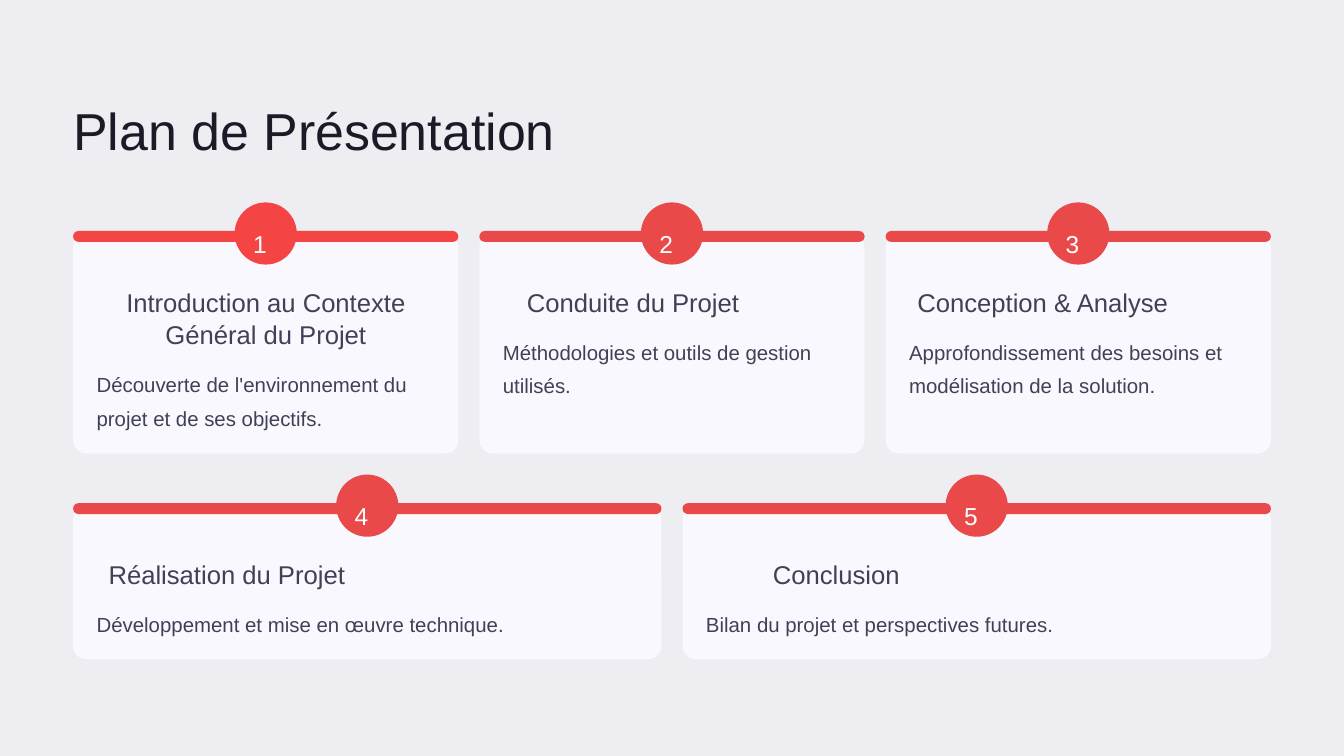
import pptx
import pptx.util
import pptx.dml.color
import pptx.enum.shapes
import pptx.enum.text
import pptx.oxml.ns
import lxml.etree

Inches = pptx.util.Inches
Pt = pptx.util.Pt
ALIGN = pptx.enum.text.PP_ALIGN
COLORS = {
    "background": "EDEDF2",
    "card": "F9F9FF",
    "first": "F44444",
    "accent": "E94949",
    "title": "1B1B27",
    "text": "404155",
    "number": "FFFFFF",
}


def write_text(box, text, size, color, spacing, wrap=False, align=ALIGN.LEFT):
    frame = box.text_frame
    frame.margin_left = frame.margin_top = frame.margin_right = frame.margin_bottom = 0
    frame.auto_size = pptx.enum.text.MSO_AUTO_SIZE.NONE
    frame.vertical_anchor = pptx.enum.text.MSO_ANCHOR.TOP
    frame.word_wrap = wrap
    para = frame.paragraphs[0]
    para.alignment = align
    para.line_spacing = Pt(spacing)
    span = para.add_run()
    span.text = text
    span.font.size = Pt(size)
    span.font.name = "Arial"
    span.font.color.rgb = pptx.dml.color.RGBColor.from_string(COLORS[color])


def add_rounded(left, top, width, height, radius, color):
    shape = page.shapes.add_shape(
        pptx.enum.shapes.MSO_SHAPE.ROUNDED_RECTANGLE,
        Inches(left), Inches(top), Inches(width), Inches(height))
    shape.adjustments[0] = radius / min(width, height)
    shape.shadow.inherit = False
    shape.fill.solid()
    shape.fill.fore_color.rgb = pptx.dml.color.RGBColor.from_string(COLORS[color])
    shape.line.fill.background()
    return shape


deck = pptx.Presentation()
deck.slide_width = Inches(16)
deck.slide_height = Inches(9)
page = deck.slides.add_slide(deck.slide_layouts[5])
page.background.fill.solid()
page.background.fill.fore_color.rgb = pptx.dml.color.RGBColor.from_string(COLORS["background"])

title = page.shapes.title
title.left, title.top, title.width, title.height = Inches(0.87), Inches(1.14), Inches(6.2), Inches(0.78)
write_text(title, "Plan de Présentation", 44.5, "title", 55.5)

LEFT, TOTAL_WIDTH, GAP = 0.87, 14.26, 0.25
rows = [
    (2.78, 2.62, [
        ("Introduction au Contexte Général du Projet", 4.03, 2,
         "Découverte de l'environnement du projet et de ses objectifs."),
        ("Conduite du Projet", 3.1, 1, "Méthodologies et outils de gestion utilisés."),
        ("Conception & Analyse", 3.18, 1,
         "Approfondissement des besoins et modélisation de la solution."),
    ]),
    (6.02, 1.83, [
        ("Réalisation du Projet", 3.1, 1, "Développement et mise en œuvre technique."),
        ("Conclusion", 3.1, 1, "Bilan du projet et perspectives futures."),
    ]),
]

number = 0
for top, height, cards in rows:
    step = (TOTAL_WIDTH + GAP) / len(cards)
    width = step - GAP
    body_wraps = len(cards) == 3
    for column, (heading, heading_width, heading_lines, body) in enumerate(cards):
        number += 1
        left = LEFT + column * step
        accent = "first" if number == 1 else "accent"

        card = add_rounded(left, top, width, height, 0.16, "card")
        card_color = card.fill._xPr.find(".//" + pptx.oxml.ns.qn("a:srgbClr"))
        lxml.etree.SubElement(card_color, pptx.oxml.ns.qn("a:alpha"), val="95000")
        add_rounded(left, top - 0.03, width, 0.13, 0.065, accent)
        badge_left = left + (width - 0.74) / 2
        add_rounded(badge_left, top - 0.37, 0.74, 0.74, 0.37, accent)

        box = page.shapes.add_textbox(
            Inches(badge_left + 0.22), Inches(top - 0.18), Inches(0.3), Inches(0.37))
        write_text(box, str(number), 21, "number", 34)

        heading_height = 0.39 * heading_lines
        box = page.shapes.add_textbox(
            Inches(left + 0.28), Inches(top + 0.62), Inches(heading_width), Inches(heading_height))
        write_text(box, heading, 22, "text", 27.5, wrap=heading_lines > 1, align=ALIGN.CENTER)

        box = page.shapes.add_textbox(
            Inches(left + 0.28), Inches(top + 0.77 + heading_height),
            Inches(width - 0.56), Inches(0.79 if body_wraps else 0.4))
        write_text(box, body, 17.5, "text", 28.5, wrap=body_wraps)

deck.save("out.pptx")
